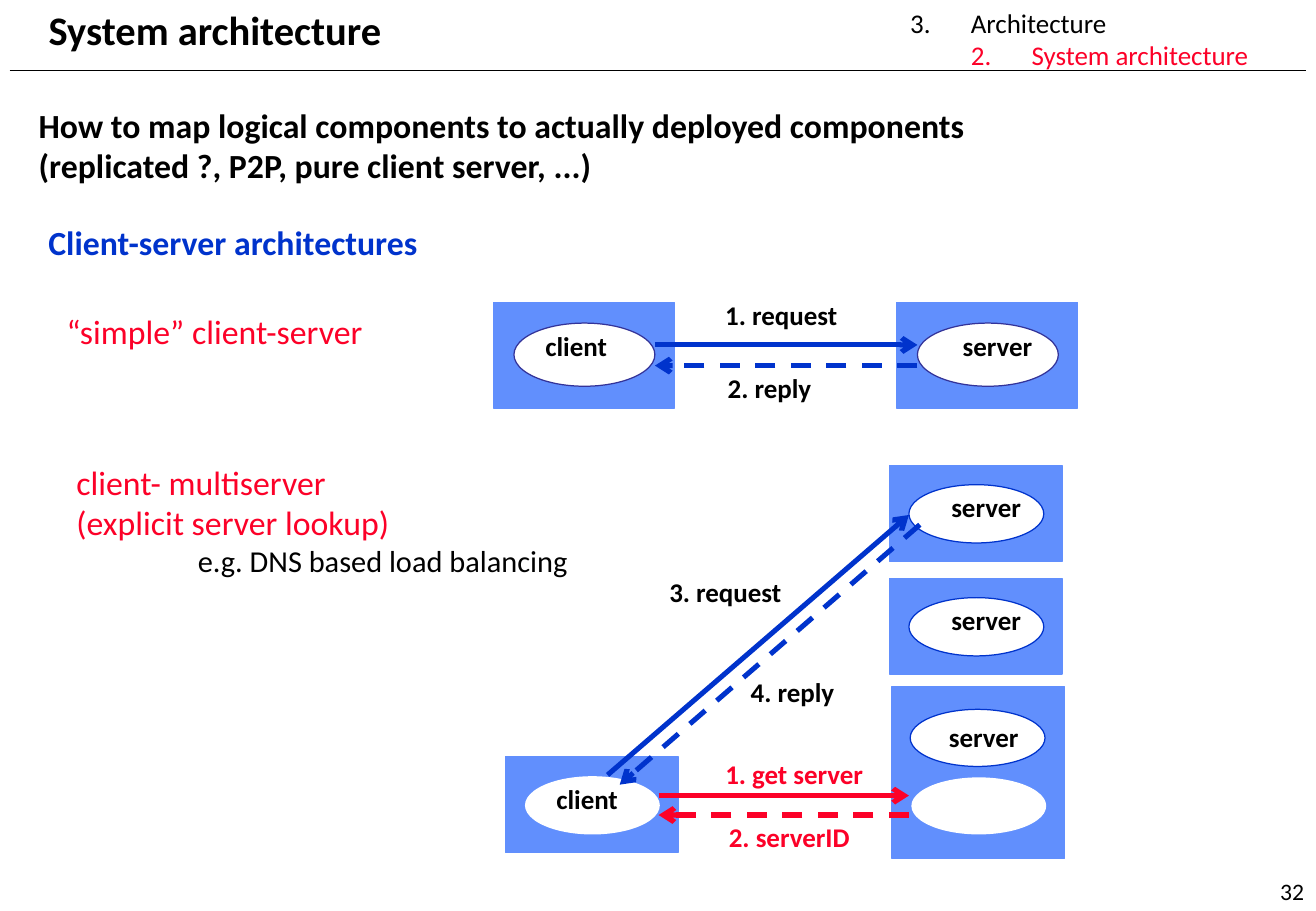
from dataclasses import dataclass

from lxml.etree import SubElement
from pptx import Presentation
from pptx.dml.color import RGBColor
from pptx.enum.dml import MSO_LINE
from pptx.enum.shapes import MSO_CONNECTOR, MSO_SHAPE
from pptx.enum.text import MSO_ANCHOR, MSO_AUTO_SIZE, PP_ALIGN
from pptx.oxml.ns import qn
from pptx.util import Pt

EMU_PER_PX = 9144  # 100 px to the inch


@dataclass(frozen=True)
class Theme:
    font: str = "Calibri"
    black: str = "000000"
    white: str = "FFFFFF"
    red: str = "FC0128"
    blue: str = "0033CC"
    machine: str = "618FFD"
    outline: str = "333399"
    title: int = 24
    heading: int = 20
    detail: int = 18
    label: int = 16
    number: int = 14
    hairline: float = 0.75
    rule: float = 1
    arrow: float = 3


def px(value):
    return value * EMU_PER_PX


def apply(target, values):
    for name, value in values.items():
        setattr(target, name, value)


class SlideBuilder:
    def __init__(self, slide, theme):
        self.slide = slide
        self.theme = theme

    def fill_text(self, shape, lines, align=PP_ALIGN.LEFT, anchor=MSO_ANCHOR.TOP):
        """Each line is a dict: text, and optionally size, color, bold, level, margin, hanging."""
        frame = shape.text_frame
        apply(frame, {"word_wrap": True, "auto_size": MSO_AUTO_SIZE.NONE,
                      "vertical_anchor": anchor})
        for index, line in enumerate(lines):
            paragraph = frame.paragraphs[0] if index == 0 else frame.add_paragraph()
            apply(paragraph, {"alignment": align, "level": line.get("level", 0),
                              "space_before": Pt(0), "space_after": Pt(0)})
            properties = paragraph._p.get_or_add_pPr()
            properties.set("marL", str(px(line.get("margin", 0))))
            properties.set("indent", str(px(-line.get("hanging", 0))))
            SubElement(properties, qn("a:buNone"))
            run = paragraph.add_run()
            run.text = line["text"]
            apply(run.font, {"name": self.theme.font, "bold": line.get("bold", False),
                             "size": Pt(line.get("size", self.theme.label))})
            run.font.color.rgb = RGBColor.from_string(line.get("color", self.theme.black))

    def placeholder(self, index, box, lines):
        shape = self.slide.placeholders[index]
        apply(shape, dict(zip(("left", "top", "width", "height"), map(px, box))))
        self.fill_text(shape, lines)

    def text(self, box, lines, **layout):
        self.fill_text(self.slide.shapes.add_textbox(*map(px, box)), lines, **layout)

    def label(self, box, text, color=None, align=PP_ALIGN.LEFT):
        line = {"text": text, "bold": True, "color": color or self.theme.black}
        self.text(box, [line], align=align)

    def shape(self, kind, box, fill, outline=None):
        shape = self.slide.shapes.add_shape(kind, *map(px, box))
        shape.shadow.inherit = False
        shape.fill.solid()
        shape.fill.fore_color.rgb = RGBColor.from_string(fill)
        if outline:
            shape.line.color.rgb = RGBColor.from_string(outline)
            shape.line.width = Pt(self.theme.hairline)
        else:
            shape.line.fill.background()

    def machine(self, box):
        self.shape(MSO_SHAPE.RECTANGLE, box, self.theme.machine, self.theme.machine)

    def process(self, box, outline=None):
        self.shape(MSO_SHAPE.OVAL, box, self.theme.white, outline)

    def line(self, start, end, color, width, dashed=False, arrow=False):
        connector = self.slide.shapes.add_connector(
            MSO_CONNECTOR.STRAIGHT, *map(px, start + end))
        connector.line.color.rgb = RGBColor.from_string(color)
        connector.line.width = Pt(width)
        if dashed:
            connector.line.dash_style = MSO_LINE.DASH
        if arrow:
            SubElement(connector.line._get_or_add_ln(), qn("a:tailEnd"), type="arrow")
        SubElement(connector._element.spPr, qn("a:effectLst"))

    def message(self, start, end, color, dashed=False):
        self.line(start, end, color, self.theme.arrow, dashed, arrow=True)


def build_header(builder):
    theme = builder.theme
    builder.placeholder(0, (30, -1, 297, 50), [
        {"text": "System architecture", "size": theme.title, "bold": True}])
    builder.placeholder(1, (739, 0, 302, 64), [
        {"text": "3.\tArchitecture", "margin": 50, "hanging": 50},
        {"text": "2.\tSystem architecture", "color": theme.red,
         "level": 1, "margin": 100, "hanging": 50}])
    builder.line((8, 58), (1075, 58), theme.black, theme.rule)
    builder.text((875, 700, 208, 50), [{"text": "32", "size": theme.number}],
                 align=PP_ALIGN.RIGHT, anchor=MSO_ANCHOR.BOTTOM)


def build_headings(builder):
    theme = builder.theme
    strong = {"size": theme.heading, "bold": True}
    topic = {"size": theme.heading, "color": theme.red}
    builder.text((22, 81, 1008, 77), [
        {"text": "How to map logical components to actually deployed components", **strong},
        {"text": "(replicated ?, P2P, pure client server, ...)", **strong}])
    builder.text((30, 178, 327, 44), [
        {"text": "Client-server architectures", "color": theme.blue, **strong}])
    builder.text((45, 251, 273, 44), [{"text": "“simple” client-server", **topic}])
    builder.text((53, 375, 429, 111), [
        {"text": "client- multiserver", **topic},
        {"text": "(explicit server lookup)", **topic},
        {"text": "e.g. DNS based load balancing", "size": theme.detail, "margin": 100}])


def build_simple(builder):
    theme = builder.theme
    for left, name, align in ((406, "client", PP_ALIGN.LEFT), (738, "server", PP_ALIGN.CENTER)):
        builder.machine((left, 249, 149, 87))
        builder.process((left + 17, 266, 116, 52), theme.outline)
        builder.label((left + 33, 266, 100, 52), name, align=align)
    builder.message((539, 284), (755, 284), theme.blue)
    builder.message((755, 301), (539, 301), theme.blue, dashed=True)
    builder.label((587, 241, 113, 37), "1. request")
    builder.label((589, 301, 133, 52), "2. reply")


def build_multiserver(builder):
    theme = builder.theme
    # Client and the two plain servers
    for left, top, name, outline, align in (
            (416, 623, "client", None, PP_ALIGN.LEFT),
            (732, 383, "server", theme.blue, PP_ALIGN.CENTER),
            (732, 476, "server", theme.blue, PP_ALIGN.CENTER)):
        builder.machine((left, top, 142, 79))
        builder.process((left + 16, top + 16, 111, 48), outline)
        builder.label((left + 32, top + 16, 95, 48), name, align=align)

    # Server that also runs the lookup process
    builder.machine((734, 565, 142, 142))
    builder.process((750, 640, 111, 47))
    builder.process((749, 584, 111, 47), theme.blue)
    builder.label((762, 588, 95, 48), "server", align=PP_ALIGN.CENTER)

    # Lookup messages, then the request itself
    builder.message((542, 655), (748, 655), theme.red)
    builder.message((748, 671), (542, 671), theme.red, dashed=True)
    builder.message((500, 638), (748, 424), theme.blue)
    builder.message((757, 432), (510, 646), theme.blue, dashed=True)
    builder.label((587, 619, 182, 39), "1. get server", theme.red)
    builder.label((590, 671, 156, 51), "2. serverID", theme.red)
    builder.label((541, 469, 127, 48), "3. request")
    builder.label((608, 551, 127, 48), "4. reply")


def main():
    presentation = Presentation()
    apply(presentation, {"slide_width": px(1083), "slide_height": px(750)})
    slide = presentation.slides.add_slide(presentation.slide_layouts[1])
    builder = SlideBuilder(slide, Theme())
    for build in (build_header, build_headings, build_simple, build_multiserver):
        build(builder)
    presentation.save("out.pptx")


if __name__ == "__main__":
    main()
